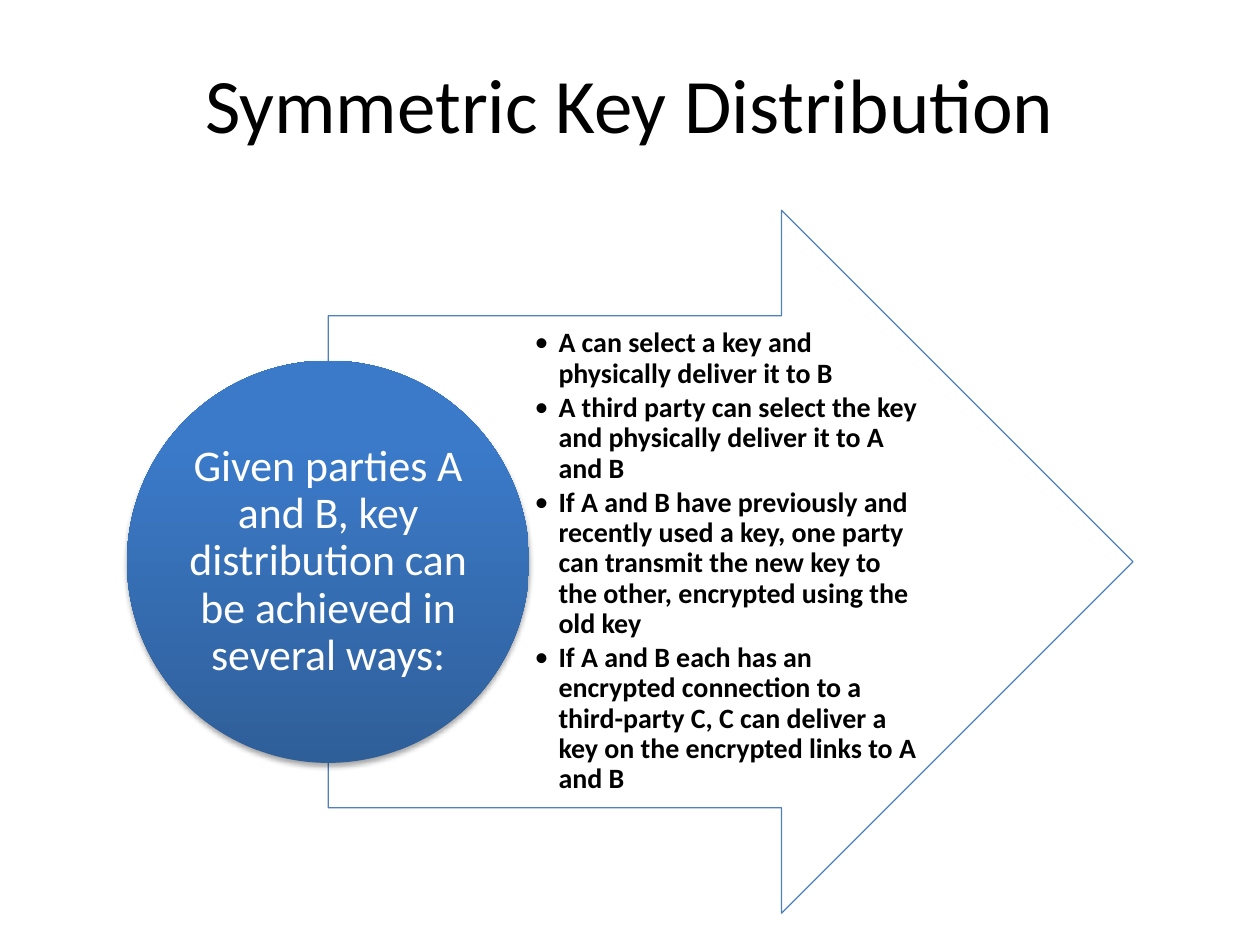
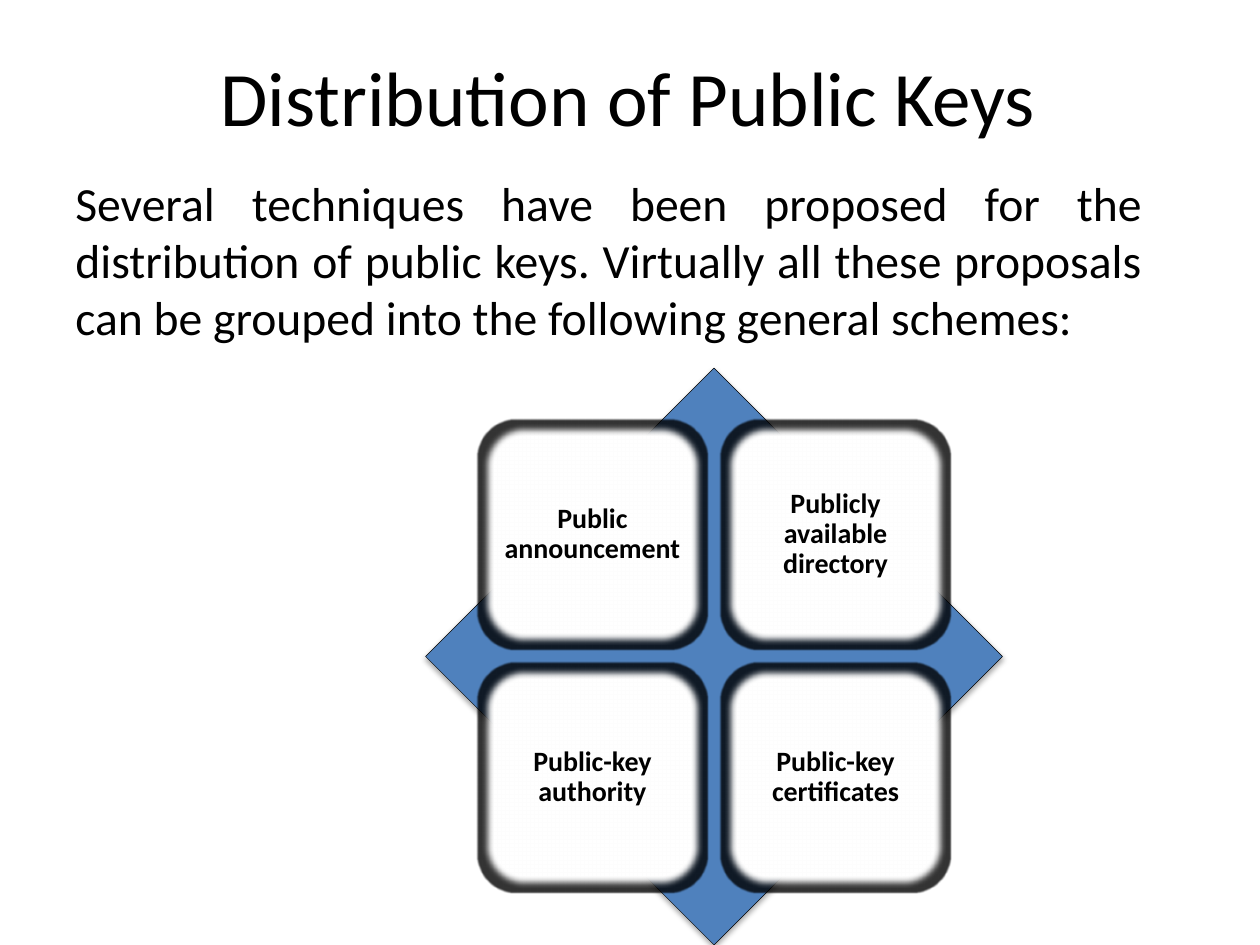
from lxml.etree import SubElement
from pptx import Presentation
from pptx.dml.color import RGBColor
from pptx.enum.shapes import MSO_SHAPE
from pptx.enum.text import MSO_ANCHOR, PP_ALIGN
from pptx.oxml.ns import qn
from pptx.util import Cm, Pt

FONT = "Calibri"
BLACK, WHITE, BLUE = "000000", "FFFFFF", "4F81BD"
DARK_BLUE, MID_BLUE = "2F5F99", "3B7AC9"
TITLE = {"size": Pt(44)}
BODY = {"size": Pt(27.2)}
LABEL = {"size": Pt(16), "bold": True}
CIRCLE = {"size": Pt(25)}
CENTRED = {"alignment": PP_ALIGN.CENTER}
TIGHT = {"alignment": PP_ALIGN.CENTER, "line_spacing": 0.9}
WAYS = [
    "A can select a key and physically deliver it to B",
    "A third party can select the key and physically deliver it to A and B",
    "If A and B have previously and recently used a key, one party can transmit "
    "the new key to the other, encrypted using the old key",
    "If A and B each has an encrypted connection to a third-party C, C can deliver "
    "a key on the encrypted links to A and B",
]
SCHEMES = [
    "Public announcement", "Publicly available directory",
    "Public-key authority", "Public-key certificates",
]


def rgb(color):
    return RGBColor.from_string(color)


def apply(target, values):
    for name, value in values.items():
        setattr(target, name, value)


def add_bullet(p):
    pPr = p._p.get_or_add_pPr()
    pPr.set("marL", str(Cm(0.48)))
    pPr.set("indent", str(-Cm(0.48)))
    SubElement(pPr, qn("a:buFont"), typeface=FONT)
    SubElement(pPr, qn("a:buChar"), char="•")


def write(s, texts, font, layout, color=BLACK, inset=0.05, bullets=False):
    tf = s.text_frame
    tf.word_wrap = True
    for side in ("left", "right", "top", "bottom"):
        setattr(tf, f"margin_{side}", Cm(inset))
    for i, text in enumerate(texts):
        p = tf.paragraphs[0] if i == 0 else tf.add_paragraph()
        apply(p, layout)
        if bullets:
            add_bullet(p)
        r = p.add_run()
        r.text = text
        apply(r.font, {"name": FONT, **font})
        r.font.color.rgb = rgb(color)


def add_text(slide, box, texts, font, layout, anchor=MSO_ANCHOR.MIDDLE, **options):
    s = slide.shapes.add_textbox(*map(Cm, box))
    s.text_frame.vertical_anchor = anchor
    write(s, texts, font, layout, **options)


def add_title(slide, box, text):
    add_text(slide, box, [text], TITLE, CENTRED, inset=0.2)


def add_shape(slide, kind, box, fill=WHITE, line=None, width=0.75):
    s = slide.shapes.add_shape(kind, *map(Cm, box))
    s.shadow.inherit = False
    s.fill.solid()
    s.fill.fore_color.rgb = rgb(fill)
    if line:
        s.line.color.rgb = rgb(line)
        s.line.width = Pt(width)
    else:
        s.line.fill.background()
    return s


def add_effect(s, tag, **attributes):
    effects = s._element.spPr.find(qn("a:effectLst"))
    return SubElement(effects, qn(tag), {k: str(v) for k, v in attributes.items()})


def set_alpha(color, percent):
    SubElement(color, qn("a:alpha"), val=str(percent * 1000))


def drop_shadow(s):
    shadow = add_effect(s, "a:outerShdw", blurRad=Pt(3.1), dist=Pt(1.8),
                        dir=5400000, rotWithShape=0)
    set_alpha(SubElement(shadow, qn("a:srgbClr"), val=BLACK), 35)


def inset_box(left, top, size, pad):
    return left + pad, top + pad, size - 2 * pad, size - 2 * pad


def add_soft_square(slide, box, fill, radius):
    s = add_shape(slide, MSO_SHAPE.ROUNDED_RECTANGLE, box, fill)
    add_effect(s, "a:softEdge", rad=Pt(radius))
    return s


def add_card(slide, left, top, size, text):
    frame = add_soft_square(slide, inset_box(left, top, size, -0.06), BLACK, 1)
    set_alpha(frame._element.spPr.find(qn("a:solidFill"))[0], 80)
    add_soft_square(slide, inset_box(left, top, size, 0.03), WHITE, 4)
    add_text(slide, inset_box(left, top, size, 0.22), [text], LABEL, TIGHT, inset=0.18)


def symmetric_slide(slide):
    add_title(slide, (0, 0.1, 25.4, 3.94), "Symmetric Key Distribution")
    arrow = add_shape(slide, MSO_SHAPE.RIGHT_ARROW, (6.62, 4.24, 16.22, 14.17), line=BLUE)
    arrow.adjustments[0] = 0.7
    add_text(slide, (10.73, 6.36, 7.85, 9.93), WAYS, LABEL,
             {"line_spacing": 0.9, "space_after": Pt(2.4)}, bullets=True)
    circle = add_shape(slide, MSO_SHAPE.OVAL, (2.56, 7.27, 8.11, 8.11))
    circle.fill.gradient()
    circle.fill.gradient_angle = 90
    for stop, position, color in zip(circle.fill.gradient_stops, (0, 0.8), (DARK_BLUE, MID_BLUE)):
        stop.position = position
        stop.color.rgb = rgb(color)
    drop_shadow(circle)
    write(circle, ["Given parties A and B, key distribution can be achieved in several ways:"],
          CIRCLE, TIGHT, color=WHITE)


def public_slide(slide):
    add_title(slide, (0, 0, 25.34, 3.88), "Distribution of Public Keys")
    add_text(slide, (1.27, 3.26, 22.02, 4.22),
             ["Several techniques have been proposed for the distribution of public keys. "
              "Virtually all these proposals can be grouped into the following general schemes:"],
             BODY, {"alignment": PP_ALIGN.JUSTIFY}, anchor=MSO_ANCHOR.TOP, inset=0.25)
    diamond = add_shape(slide, MSO_SHAPE.DIAMOND, (8.58, 7.42, 11.63, 11.63), BLUE, BLACK, 0.25)
    drop_shadow(diamond)
    size, step = 4.55, 4.9
    for i, scheme in enumerate(SCHEMES):
        row, column = divmod(i, 2)
        add_card(slide, 9.67 + column * step, 8.5 + row * step, size, scheme)


def main():
    prs = Presentation()
    prs.slide_width, prs.slide_height = Cm(25.4), Cm(19.05)
    for build in (symmetric_slide, public_slide):
        build(prs.slides.add_slide(prs.slide_layouts[6]))
    prs.save("out.pptx")


if __name__ == "__main__":
    main()
